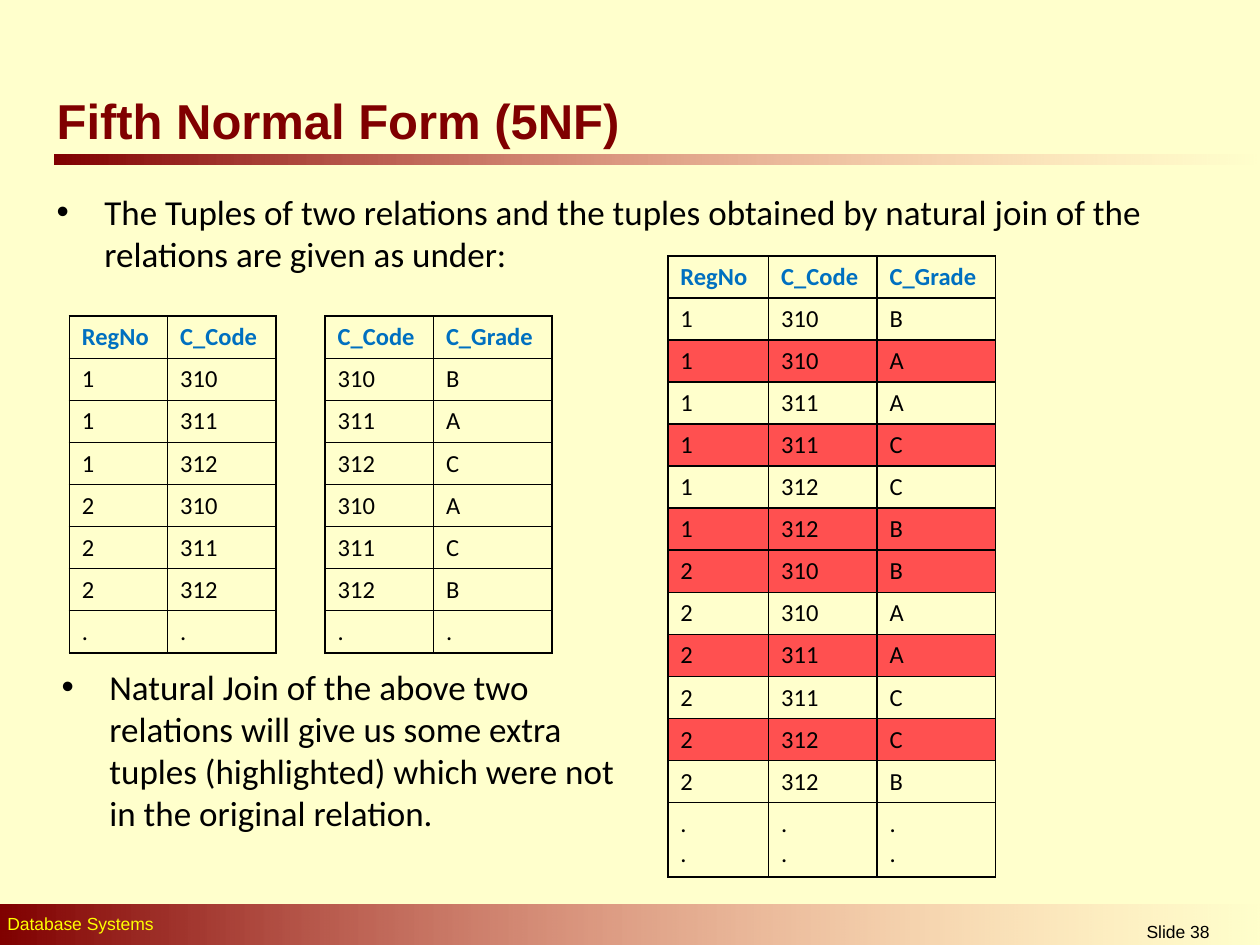
import pptx
import pptx.util
import pptx.dml.color
import pptx.enum.shapes
import pptx.enum.text
import pptx.oxml
import pptx.oxml.ns
from lxml import etree

Inches, Pt = pptx.util.Inches, pptx.util.Pt

# Content
TITLE = "Fifth Normal Form (5NF)"
BULLETS = [
    ("The Tuples of two relations and the tuples obtained by natural join of the "
     "relations are given as under:", (0.35, 1.46, 9.29, 0.81)),
    ("Natural Join of the above two relations will give us some extra tuples "
     "(highlighted) which were not in the original relation.", (0.39, 5.23, 4.77, 1.8)),
]
REGISTRATIONS = [("1", "310"), ("1", "311"), ("1", "312"),
                 ("2", "310"), ("2", "311"), ("2", "312")]
GRADES = [("310", "B"), ("311", "A"), ("312", "C"),
          ("310", "A"), ("311", "C"), ("312", "B")]
COLUMN_WIDTHS = {"RegNo": 0.78, "C_Code": 0.86, "C_Grade": 0.94}
BARS = [(0.43, 1.23, 9.57, 0.08), (0, 7.18, 10.03, 0.35)]
FOOTERS = [
    ("Database Systems", (-0.04, 7.2, 6.46, 0.27), "yellow", pptx.enum.text.PP_ALIGN.LEFT),
    ("Slide 38", (8.31, 7.26, 2.08, 0.24), "black", pptx.enum.text.PP_ALIGN.CENTER),
]
COLORS = {"cream": "FFFFCC", "maroon": "800000", "pink": "FF8585", "yellow": "FFFF00",
          "black": "000000", "blue": "0070C0", "red": "FF5050"}
ROW_HEIGHT = 0.33


def color(name):
    return pptx.dml.color.RGBColor.from_string(COLORS[name])


def lengths(values):
    return [Inches(value) for value in values]


def set_font(font, name, size, color_name, bold=False):
    font.name, font.size, font.bold = name, Pt(size), bold
    font.color.rgb = color(color_name)


def add_bar(slide, place):
    bar = slide.shapes.add_shape(pptx.enum.shapes.MSO_SHAPE.RECTANGLE, *lengths(place))
    bar.shadow.inherit = False
    bar.line.fill.background()
    bar.fill.gradient()
    bar.fill.gradient_angle = 0
    for stop, name, position in zip(bar.fill.gradient_stops, ("maroon", "pink"), (0, 1)):
        stop.color.rgb = color(name)
        stop.position = position
    # The right end fades out completely
    end = bar._element.spPr.findall(".//" + pptx.oxml.ns.qn("a:srgbClr"))[-1]
    etree.SubElement(end, pptx.oxml.ns.qn("a:alpha"), val="0")


def add_text(slide, text, place):
    box = slide.shapes.add_textbox(*lengths(place))
    box.text_frame.word_wrap = True
    box.text_frame.text = text
    return box.text_frame.paragraphs[0]


def add_bullet(slide, text, place):
    para = add_text(slide, text, place)
    properties = para._p.get_or_add_pPr()
    properties.set("marL", str(Inches(0.38)))
    properties.set("indent", str(-Inches(0.38)))
    etree.SubElement(properties, pptx.oxml.ns.qn("a:buFont"), typeface="Arial")
    etree.SubElement(properties, pptx.oxml.ns.qn("a:buChar"), char="•")
    set_font(para.font, "Calibri", 20, "black")


def add_borders(cell):
    properties = cell._tc.get_or_add_tcPr()
    for side in ("lnL", "lnR", "lnT", "lnB"):
        properties.append(pptx.oxml.parse_xml(
            f'<a:{side} {pptx.oxml.ns.nsdecls("a")} w="{Pt(1)}"><a:solidFill>'
            f'<a:srgbClr val="{COLORS["black"]}"/></a:solidFill></a:{side}>'))


def add_relation(slide, left, top, widths, rows, last_height=ROW_HEIGHT, extra=()):
    """Draw a relation whose header names are the keys of widths."""
    rows = [tuple(widths), *rows]
    heights = [ROW_HEIGHT] * (len(rows) - 1) + [last_height]
    table = slide.shapes.add_table(
        len(rows), len(widths),
        *lengths((left, top, sum(widths.values()), sum(heights)))).table
    table.first_row = table.horz_banding = False
    for column, width in zip(table.columns, widths.values()):
        column.width = Inches(width)
    for number, (values, height) in enumerate(zip(rows, heights)):
        table.rows[number].height = Inches(height)
        for cell, value in zip(table.rows[number].cells, values):
            cell.text = value
            add_borders(cell)
            if values in extra:
                cell.fill.solid()
                cell.fill.fore_color.rgb = color("red")
            else:
                cell.fill.background()
            header = number == 0
            for para in cell.text_frame.paragraphs:
                set_font(para.font, "Calibri", 14, "blue" if header else "black", header)


def main():
    deck = pptx.Presentation()
    deck.slide_width, deck.slide_height = Inches(10), Inches(7.5)
    slide = deck.slides.add_slide(deck.slide_layouts[5])
    slide.background.fill.solid()
    slide.background.fill.fore_color.rgb = color("cream")

    # Bars and footers
    for place in BARS:
        add_bar(slide, place)
    for text, place, color_name, alignment in FOOTERS:
        para = add_text(slide, text, place)
        para.alignment = alignment
        set_font(para.font, "Arial", 10, color_name)

    # Title
    title = slide.shapes.title
    title.left, title.top, title.width, title.height = lengths((0.35, 0.68, 6.61, 0.55))
    title.text_frame.text = TITLE
    title.text_frame.vertical_anchor = pptx.enum.text.MSO_ANCHOR.MIDDLE
    para = title.text_frame.paragraphs[0]
    para.alignment = pptx.enum.text.PP_ALIGN.LEFT
    set_font(para.font, "Arial", 28, "maroon", True)

    # Bullets
    for text, place in BULLETS:
        add_bullet(slide, text, place)

    # The two relations
    for left, names, rows in ((0.55, ("RegNo", "C_Code"), REGISTRATIONS),
                              (2.58, ("C_Code", "C_Grade"), GRADES)):
        widths = {name: COLUMN_WIDTHS[name] for name in names}
        add_relation(slide, left, 2.51, widths, rows + [(".", ".")])

    # Their natural join, with the tuples it adds highlighted
    joined = [(student, code, grade) for student, code in REGISTRATIONS
              for graded_code, grade in GRADES if graded_code == code]
    original = [(student, code, grade)
                for (student, code), (_, grade) in zip(REGISTRATIONS, GRADES)]
    extra = [row for row in joined if row not in original]
    add_relation(slide, 5.3, 2.03, {**COLUMN_WIDTHS, "RegNo": 0.8},
                 joined + [(".\n.",) * 3], 0.59, extra)

    deck.save("out.pptx")


if __name__ == "__main__":
    main()
